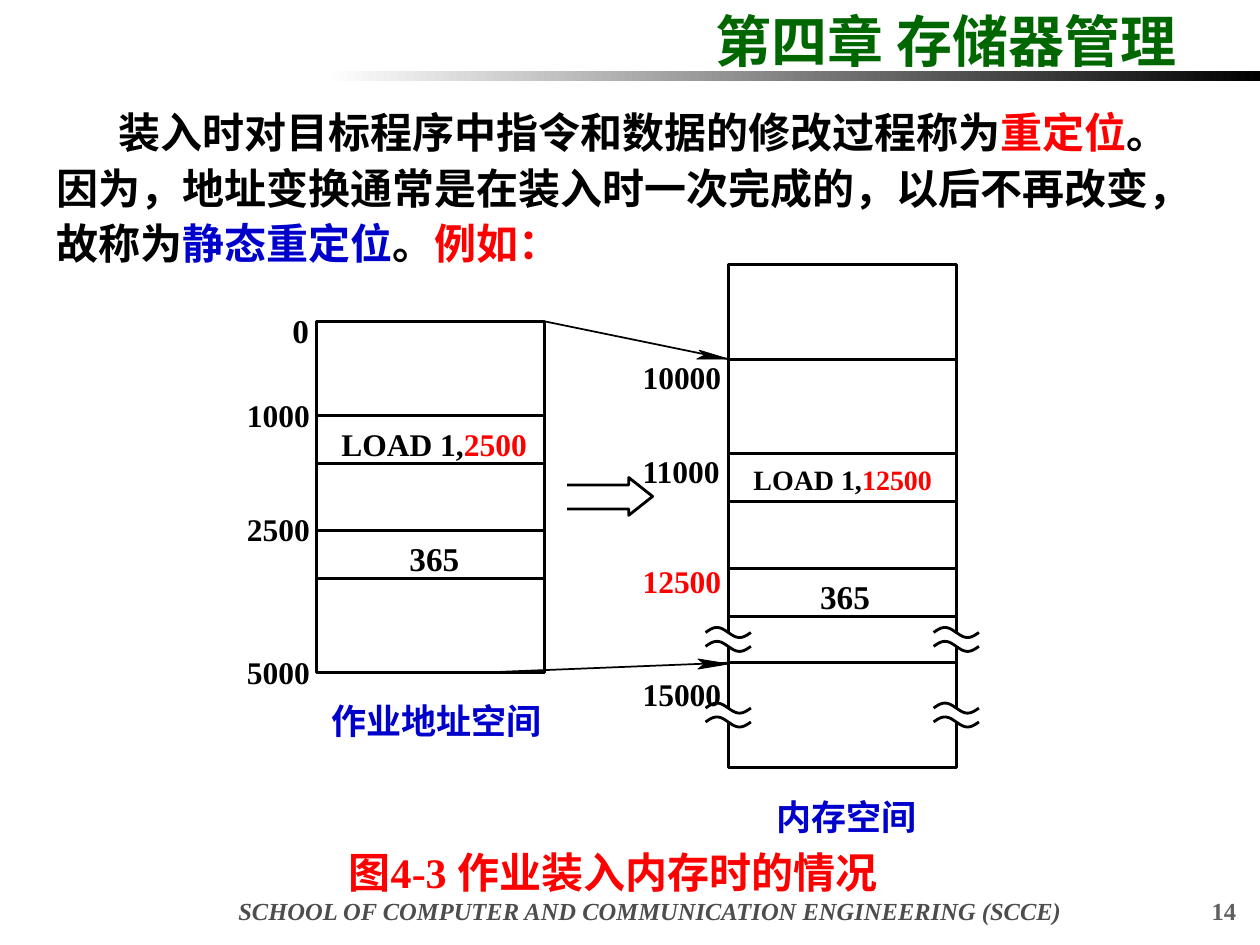
import math

import pptx
import pptx.dml.color
import pptx.enum.dml
import pptx.enum.shapes
import pptx.enum.text
import pptx.oxml.ns
import pptx.util
from pptx.util import Inches

ALIGN = pptx.enum.text.PP_ALIGN
RECTANGLE = pptx.enum.shapes.MSO_SHAPE.RECTANGLE
theme = {
    "latin": "Times New Roman", "chinese": "Noto Sans CJK SC",
    "black": "000000", "white": "FFFFFF", "red": "FF0000", "blue": "0000CC",
    "green": "006600", "footer": "4D4D4D", "number": "5F5F5F",
    "title_size": 32, "body_size": 24, "space_size": 20, "value_size": 19,
    "label_size": 18, "code_size": 16, "footer_size": 14,
    "outline": 1.62, "arrow": 1, "head": 0.5,
}

presentation = pptx.Presentation()
presentation.slide_width, presentation.slide_height = Inches(10), Inches(7.5)
slide = presentation.slides.add_slide(presentation.slide_layouts[5])
shapes = slide.shapes


def write(shape, runs, size, align=ALIGN.LEFT, inset=0, wrap=False, italic=False):
    """Fill a shape with one paragraph of (text, colour, font) runs."""
    frame = shape.text_frame
    settings = {
        "margin_left": Inches(inset), "margin_right": Inches(inset),
        "margin_top": Inches(inset / 2), "margin_bottom": Inches(inset / 2),
        "word_wrap": wrap, "auto_size": pptx.enum.text.MSO_AUTO_SIZE.NONE,
        "vertical_anchor": pptx.enum.text.MSO_ANCHOR.TOP,
    }
    for name, value in settings.items():
        setattr(frame, name, value)
    paragraph = frame.paragraphs[0]
    paragraph.alignment = align
    for text, color, font_name in runs:
        run = paragraph.add_run()
        run.text = text
        font = {"name": theme[font_name], "size": pptx.util.Pt(theme[size]),
                "bold": True, "italic": italic}
        for name, value in font.items():
            setattr(run.font, name, value)
        run.font.color.rgb = pptx.dml.color.RGBColor.from_string(theme[color])
    return paragraph


def paint(shape, fill=None, line=None):
    """Set fill colour and line width; None leaves either out."""
    shape.shadow.inherit = False
    if fill:
        shape.fill.solid()
        shape.fill.fore_color.rgb = pptx.dml.color.RGBColor.from_string(theme[fill])
    else:
        shape.fill.background()
    if line:
        shape.line.width = pptx.util.Pt(theme[line])
        shape.line.color.rgb = pptx.dml.color.RGBColor.from_string(theme["black"])
    else:
        shape.line.fill.background()


# Heading and rule
title = shapes.title
title.left, title.top, title.width, title.height = map(Inches, (5.58, 0, 4.42, 0.64))
write(title, [("第四章 存储器管理", "green", "latin")], "title_size", inset=0.1, wrap=True)

rule = shapes.add_shape(RECTANGLE, *map(Inches, (2.58, 0.56, 7.42, 0.08)))
paint(rule)
rule.fill.gradient()
rule.fill.gradient_angle = 0
for stop, color in zip(rule.fill.gradient_stops, ("white", "black")):
    stop.color.rgb = pptx.dml.color.RGBColor.from_string(theme[color])

# Footer, page number and caption
for text, place, color, size, align, italic in (
    ("SCHOOL OF COMPUTER AND COMMUNICATION ENGINEERING (SCCE)",
     (1.54, 7.06, 7.24, 0.28), "footer", "footer_size", ALIGN.CENTER, True),
    ("14", (7.83, 7.06, 2.08, 0.28), "number", "footer_size", ALIGN.RIGHT, False),
    ("图4-3 作业装入内存时的情况",
     (2.16, 6.59, 5.41, 0.58), "red", "body_size", ALIGN.CENTER, False),
):
    box = shapes.add_textbox(*map(Inches, place))
    paragraph = write(box, [(text, color, "latin")], size, align, 0.1, True, italic)
    if size == "body_size":
        paragraph.line_spacing = 1.2

# Stacks of memory cells
job_left, memory_left, cell_width = 2.51, 5.78, 1.81
for left, edges in (
    (job_left, (2.55, 3.3, 3.68, 4.21, 4.59, 5.34)),
    (memory_left, (2.1, 2.85, 3.6, 3.98, 4.51, 4.89, 5.26, 6.09)),
):
    for top, bottom in zip(edges, edges[1:]):
        cell = shapes.add_shape(
            RECTANGLE, *map(Inches, (left, top, cell_width, bottom - top)))
        paint(cell, "white", "outline")

# Break marks: a gap in each side, between two waves
wave_width, wave_height, wave_steps = 0.36, 0.04, 24
for gap_top in (5.02, 5.62):
    for side in (memory_left, memory_left + cell_width):
        gap = shapes.add_shape(
            RECTANGLE, *map(Inches, (side - 0.05, gap_top, 0.09, 0.11)))
        paint(gap, "white")
        for middle in (gap_top, gap_top + 0.11):
            points = [
                (Inches(side + wave_width * (step / wave_steps - 0.5)),
                 Inches(middle - wave_height * math.sin(2 * math.pi * step / wave_steps)))
                for step in range(wave_steps + 1)
            ]
            builder = shapes.build_freeform(*points[0])
            builder.add_line_segments(points[1:], close=False)
            paint(builder.convert_to_shape(), line="outline")

# Mapping lines
for ends in ((4.32, 2.55, 5.78, 2.85), (3.78, 5.34, 5.78, 5.26)):
    connector = shapes.add_connector(
        pptx.enum.shapes.MSO_CONNECTOR.STRAIGHT, *map(Inches, ends))
    connector.line.width = pptx.util.Pt(theme["arrow"])
    connector.line.color.rgb = pptx.dml.color.RGBColor.from_string(theme["black"])
    connector._element.spPr.append(
        pptx.oxml.xmlchemy.OxmlElement("a:effectLst"))

# Arrowheads, and the block arrow open at its tail
block_arrow = ((4.5, 3.85), (4.99, 3.85), (4.99, 3.79), (5.18, 3.94),
               (4.99, 4.09), (4.99, 4.04), (4.5, 4.04))
for outline, closed, fill, line in (
    (((5.55, 2.78), (5.59, 2.82), (5.53, 2.85), (5.78, 2.85)), True, "black", "head"),
    (((5.54, 5.23), (5.59, 5.27), (5.54, 5.31), (5.78, 5.27)), True, "black", "head"),
    (block_arrow, False, None, "outline"),
):
    points = [(Inches(x), Inches(y)) for x, y in outline]
    builder = shapes.build_freeform(*points[0])
    builder.add_line_segments(points[1:], close=closed)
    paint(builder.convert_to_shape(), fill, line)

# Cell contents, addresses and names of the two spaces
labels = [
    (2.71, 3.37, 1.47, "label_size", [("LOAD 1,", "black"), ("2500", "red")]),
    (5.98, 3.67, 1.42, "code_size", [("LOAD 1,", "black"), ("12500", "red")]),
    (3.25, 4.27, 0.4, "value_size", [("365", "black")]),
    (6.51, 4.57, 0.4, "value_size", [("365", "black")]),
    (2.32, 2.46, 0.13, "value_size", [("0", "black")]),
    (2.63, 5.55, 1.67, "space_size", [("作业地址空间", "blue")]),
    (6.16, 6.31, 1.11, "space_size", [("内存空间", "blue")]),
]
for left, width, addresses in (
    (1.96, 0.5, (("1000", 3.14), ("2500", 4.05), ("5000", 5.18))),
    (5.1, 0.63, (("10000", 2.84), ("11000", 3.59), ("12500", 4.46), ("15000", 5.36))),
):
    for address, top in addresses:
        color = "red" if address == "12500" else "black"
        labels.append((left, top, width, "label_size", [(address, color)]))
for left, top, width, size, runs in labels:
    box = shapes.add_textbox(*map(Inches, (left, top, width, 0.32)))
    write(box, [(text, color, "latin") for text, color in runs], size)

# Explanation
explanation = shapes.add_textbox(*map(Inches, (0.35, 0.76, 9.32, 1.42)))
paragraph = write(explanation, [
    ("装入时对目标程序中指令和数据的修改过程称为", "black", "chinese"),
    ("重定位", "red", "latin"),
    ("。因为，地址变换通常是在装入时一次完成的，以后不再改变，故称为", "black", "chinese"),
    ("静态重定位", "blue", "latin"),
    ("。", "black", "chinese"),
    ("例如：", "red", "latin"),
], "body_size", inset=0.1, wrap=True)
paragraph.line_spacing = 1.1
paragraph._p.get_or_add_pPr().set("indent", str(Inches(0.49)))

presentation.save("out.pptx")
